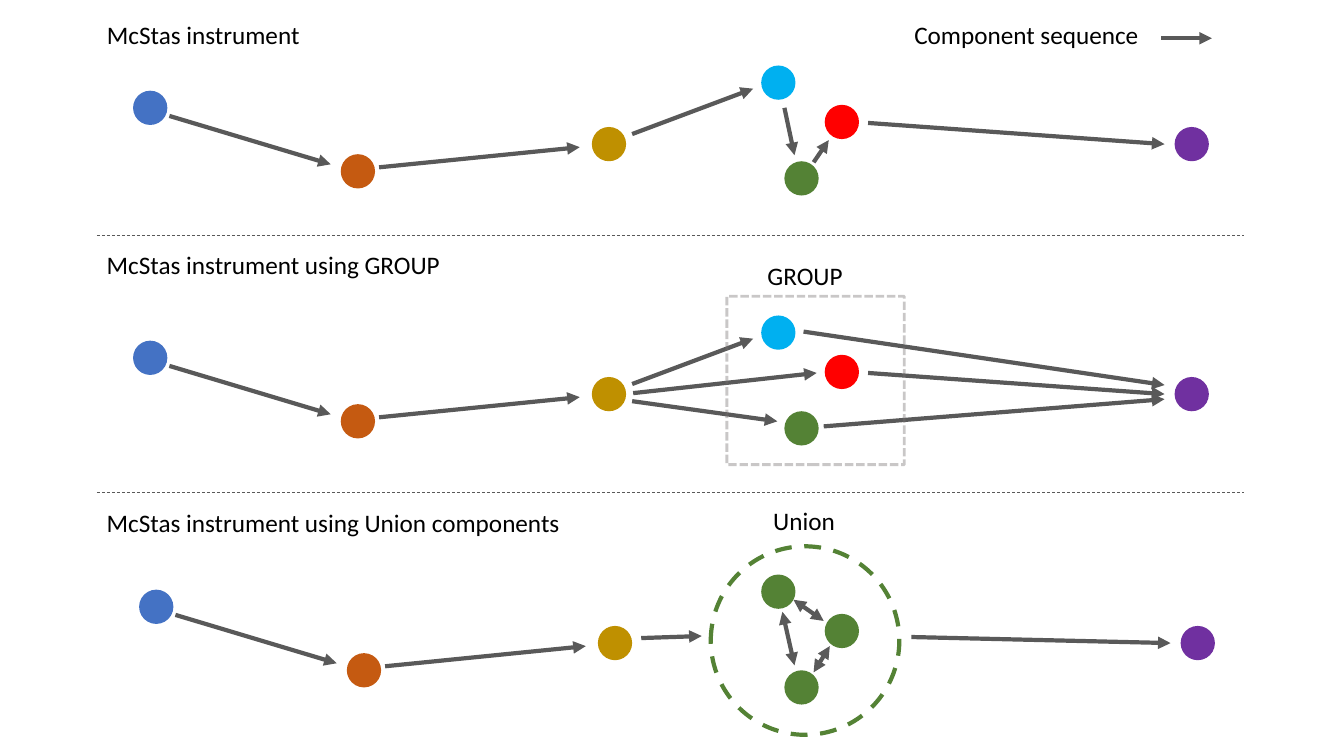
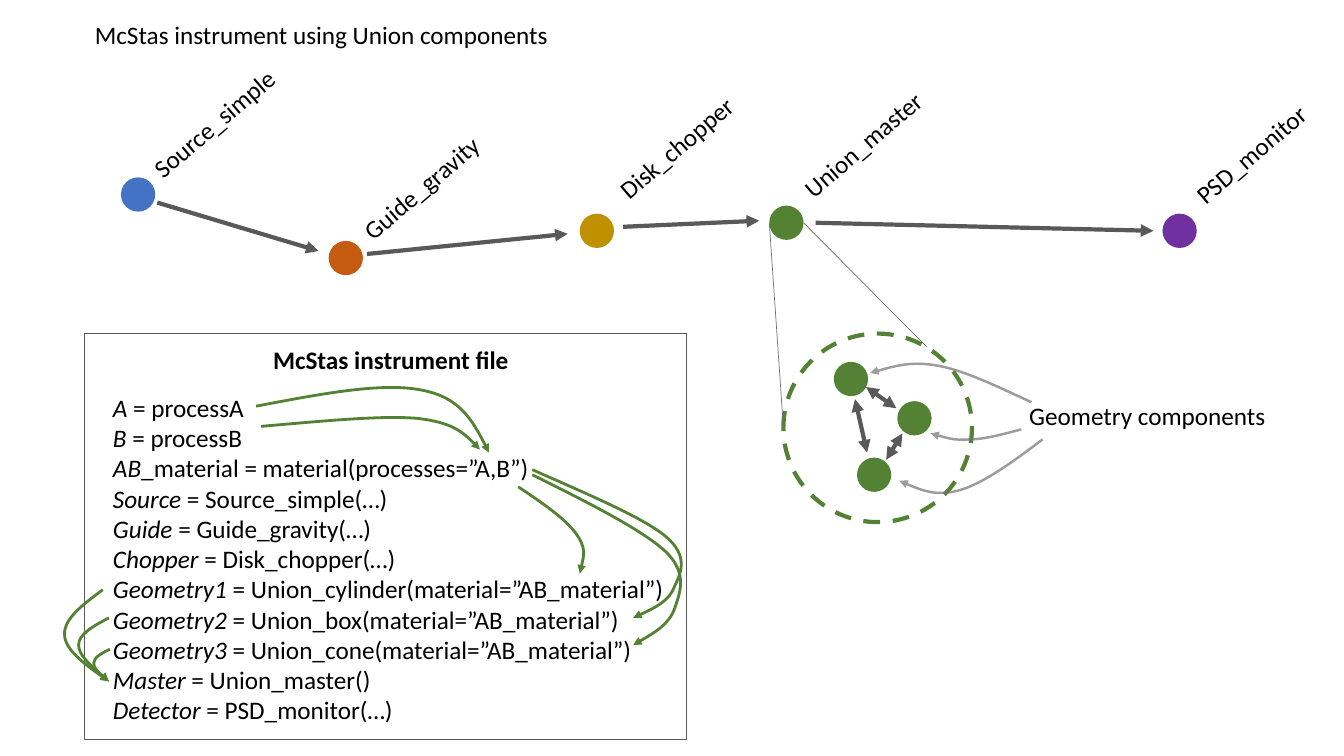
from dataclasses import dataclass

from lxml.etree import SubElement
from pptx import Presentation
from pptx.dml.color import RGBColor
from pptx.enum.dml import MSO_LINE as Dash
from pptx.enum.shapes import MSO_CONNECTOR as Connector, MSO_SHAPE as Shape
from pptx.enum.text import MSO_ANCHOR as Anchor, MSO_AUTO_SIZE as AutoSize, PP_ALIGN as Align
from pptx.oxml.ns import qn
from pptx.util import Inches, Pt


@dataclass(frozen=True)
class Theme:
    font: str = "Calibri"
    size: float = 18
    text: str = "000000"
    paper: str = "FFFFFF"
    arrow: str = "595959"
    gray: str = "767171"
    source: str = "4472C4"
    guide: str = "C55A11"
    chopper: str = "BF9000"
    detector: str = "7030A0"
    union: str = "548235"
    cyan: str = "00B0F0"
    red: str = "FF0000"
    thick: float = 3
    thin: float = 0.5


TITLE_AND_CONTENT, TITLE_ONLY = 1, 5
DOT = 0.34
LABEL_HEIGHT = 0.4
LABEL_ANGLE = 319.4


class Sketch:
    """Holds the deck, its style and the slide being drawn."""

    def __init__(self, theme):
        self.theme = theme
        self.deck = Presentation()
        self.deck.slide_width, self.deck.slide_height = Inches(13.33), Inches(7.5)
        self.page = None

    # Pages and text
    def new_page(self, layout, title, left, width):
        self.page = self.deck.slides.add_slide(self.deck.slide_layouts[layout])
        box = self.page.shapes.title
        self.place(box, left, 0.14, width, LABEL_HEIGHT)
        self.set_text(box, [[(title, "")]])

    def place(self, box, left, top, width, height):
        box.left, box.top = Inches(left), Inches(top)
        box.width, box.height = Inches(width), Inches(height)

    def set_text(self, box, lines, align=Align.LEFT):
        """Each line is a list of (text, style); style may hold b and i."""
        frame = box.text_frame
        frame.word_wrap = True
        frame.auto_size = AutoSize.NONE
        frame.vertical_anchor = Anchor.TOP
        for number, line in enumerate(lines):
            para = frame.add_paragraph() if number else frame.paragraphs[0]
            para.alignment = align
            para.space_before = para.space_after = Pt(0)
            para.line_spacing = 1.0
            for text, style in line:
                span = para.add_run()
                span.text = text
                font = span.font
                font.name, font.size = self.theme.font, Pt(self.theme.size)
                font.bold, font.italic = "b" in style, "i" in style
                font.color.rgb = RGBColor.from_string(self.theme.text)

    def label(self, text, left, top, width, align=Align.LEFT, angle=0, style=""):
        box = self.page.shapes.add_textbox(
            Inches(left), Inches(top), Inches(width), Inches(LABEL_HEIGHT))
        box.rotation = angle
        self.set_text(box, [[(text, style)]], align)

    def listing(self, lines, left, top, width, height):
        box = self.page.placeholders[1]
        self.place(box, left, top, width, height)
        self.set_text(box, lines)
        for para in box.text_frame.paragraphs:
            props = para._p.get_or_add_pPr()
            props.set("marL", "0")
            props.set("indent", "0")
            SubElement(props, qn("a:buNone"))
        return box

    # Lines and outlines
    def stroke(self, shape, color, width, dash=None, alpha=None, heads=()):
        shape.line.color.rgb = RGBColor.from_string(color)
        shape.line.width = Pt(width)
        if dash:
            shape.line.dash_style = dash
        line = shape.element.spPr.find(qn("a:ln"))
        if alpha:
            SubElement(line.find(".//" + qn("a:srgbClr")), qn("a:alpha"), val=str(alpha * 1000))
        for head in heads:
            SubElement(line, qn("a:" + head), type="triangle")

    def line(self, start, end, color, width, dash=None, heads=()):
        link = self.page.shapes.add_connector(
            Connector.STRAIGHT, *(Inches(value) for value in (*start, *end)))
        self.stroke(link, color, width, dash, heads=heads)
        SubElement(link.element.spPr, qn("a:effectLst"))

    def arrow(self, start, end, shift=(0, 0), double=False):
        dx, dy = shift
        heads = ("headEnd", "tailEnd") if double else ("tailEnd",)
        self.line((start[0] + dx, start[1] + dy), (end[0] + dx, end[1] + dy),
                  self.theme.arrow, self.theme.thick, heads=heads)

    def curve(self, points, color, width, alpha=None):
        """Draw a Bezier arrow: a start, then three points per segment."""
        start, *rest = [(Inches(x), Inches(y)) for x, y in points]
        builder = self.page.shapes.build_freeform(*start)
        builder.add_line_segments(rest, close=False)
        shape = builder.convert_to_shape()
        shape.shadow.inherit = False
        shape.fill.background()
        outline = shape.element.find(".//" + qn("a:path"))
        steps = outline.findall(qn("a:lnTo"))
        for number, step in enumerate(steps):
            if number % 3 == 0:
                bezier = SubElement(outline, qn("a:cubicBezTo"))
            bezier.append(step[0])
            outline.remove(step)
        self.stroke(shape, color, width, alpha=alpha, heads=("tailEnd",))

    # Filled and framed shapes
    def shape(self, kind, left, top, width, height, fill=None):
        shape = self.page.shapes.add_shape(
            kind, Inches(left), Inches(top), Inches(width), Inches(height))
        shape.shadow.inherit = False
        if fill:
            shape.fill.solid()
            shape.fill.fore_color.rgb = RGBColor.from_string(fill)
        else:
            shape.fill.background()
        shape.line.fill.background()
        return shape

    def dot(self, left, top, color, shift=(0, 0)):
        self.shape(Shape.OVAL, left + shift[0], top + shift[1], DOT, DOT, color)

    # Parts of an instrument
    def beamline(self, shift):
        theme = self.theme
        for left, top, color in ((1.32, 0.9, theme.source), (3.38, 1.53, theme.guide),
                                 (5.87, 1.26, theme.chopper), (11.65, 1.26, theme.detector)):
            self.dot(left, top, color, shift)
        self.arrow((1.68, 1.15), (3.28, 1.63), shift)
        self.arrow((3.76, 1.66), (5.75, 1.46), shift)

    def sample(self, shift, colors):
        for place, color in zip(((7.55, 0.65), (8.18, 1.04), (7.78, 1.6)), colors):
            self.dot(*place, color, shift)

    def union(self, shift):
        green = self.theme.union
        ring = self.shape(Shape.OVAL, 7.05 + shift[0], 0.37 + shift[1], 1.87, 1.87)
        self.stroke(ring, green, self.theme.thick, Dash.DASH)
        self.sample(shift, [green] * 3)
        for start, end in (((7.76, 1.02), (7.88, 1.55)), ((8.23, 1.36), (8.07, 1.62)),
                           ((7.87, 0.9), (8.17, 1.11))):
            self.arrow(start, end, shift, double=True)


def compare_instruments(sketch):
    theme = sketch.theme
    sketch.new_page(TITLE_ONLY, "McStas instrument", 0.96, 2.82)
    sketch.label("McStas instrument using GROUP", 0.96, 2.42, 4.28)
    sketch.label("McStas instrument using Union components", 0.96, 4.98, 4.97)
    for height in (2.34, 4.88):
        sketch.line((0.96, height), (12.34, height), theme.arrow, theme.thin, Dash.DASH)

    # Legend
    sketch.label("Component sequence", 8.97, 0.14, 2.5)
    sketch.arrow((11.52, 0.38), (12.02, 0.38))

    # What the plain and the grouped instrument share
    plain, grouped = (0, 0), (0, 2.48)
    for shift in (plain, grouped):
        sketch.beamline(shift)
        sketch.sample(shift, (theme.cyan, theme.red, theme.union))
        sketch.arrow((6.27, 1.33), (7.47, 0.88), shift)
        sketch.arrow((8.61, 1.22), (11.55, 1.43), shift)

    # Plain: one component after another
    sketch.arrow((7.78, 1.07), (7.88, 1.54))
    sketch.arrow((8.07, 1.61), (8.22, 1.39))

    # Grouped: parallel ways through the group
    for start, end in (((6.28, 3.9), (8.1, 3.7)), ((6.27, 3.98), (7.71, 4.18)),
                       ((8.17, 4.23), (11.55, 3.96)), ((7.97, 3.29), (11.55, 3.82))):
        sketch.arrow(start, end)
    group = sketch.shape(Shape.RECTANGLE, 7.21, 2.94, 1.76, 1.67)
    sketch.stroke(group, theme.gray, 2, Dash.SQUARE_DOT, alpha=39)
    sketch.label("GROUP", 7.12, 2.53, 1.73, Align.CENTER)

    # Union
    sketch.beamline((0.06, 4.95))
    sketch.union((0, 5.05))
    sketch.arrow((6.36, 6.33), (6.96, 6.31))
    sketch.arrow((9.04, 6.32), (11.61, 6.38))
    sketch.label("Union", 7.11, 4.96, 1.73, Align.CENTER)


FILE_LINES = [
    ("A", " = processA"),
    ("B", " = processB"),
    ("AB", "_material = material(processes=”A,B”)"),
    ("Source ", "= Source_simple(…)"),
    ("Guide", " = Guide_gravity(…)"),
    ("Chopper ", "= Disk_chopper(…)"),
    ("Geometry1 ", "= Union_cylinder(material=”AB_material”)"),
    ("Geometry2 ", "= Union_box(material=”AB_material”)"),
    ("Geometry3", " = Union_cone(material=”AB_material”)"),
    ("Master", " = Union_master()"),
    ("Detector", " = PSD_monitor(…)"),
]
GEOMETRY_POINTERS = [
    [(10.23, 3.99), (9.9, 3.84), (9.58, 3.68), (9.31, 3.63), (9.05, 3.58), (8.84, 3.64), (8.63, 3.7)],
    [(10.34, 4.36), (10.05, 4.58), (9.76, 4.79), (9.53, 4.86), (9.29, 4.93), (9.1, 4.85), (8.92, 4.77)],
    [(10.13, 4.26), (9.94, 4.31), (9.76, 4.36), (9.61, 4.36), (9.46, 4.37), (9.34, 4.33), (9.23, 4.3)],
]
FILE_REFERENCES = [
    # Processes to material
    [(2.54, 4.03), (3.17, 3.91), (3.79, 3.79), (4.18, 3.87), (4.56, 3.94), (4.71, 4.21), (4.85, 4.49)],
    [(2.59, 4.23), (3.18, 4.18), (3.77, 4.12), (4.13, 4.15), (4.49, 4.19), (4.63, 4.32), (4.76, 4.46)],
    # Material to geometries
    [(5.14, 4.83), (5.38, 4.99), (5.61, 5.15), (5.71, 5.29), (5.82, 5.44), (5.78, 5.56), (5.75, 5.69)],
    [(5.28, 4.66), (5.82, 4.9), (6.37, 5.13), (6.6, 5.32), (6.84, 5.52), (6.75, 5.69), (6.69, 5.82),
     (6.64, 5.96), (6.46, 6.05), (6.28, 6.13)],
    [(5.28, 4.71), (5.82, 4.98), (6.36, 5.25), (6.6, 5.47), (6.83, 5.69), (6.74, 5.89), (6.69, 6.04),
     (6.63, 6.2), (6.45, 6.3), (6.28, 6.4)],
    # Geometries to master
    [(1.02, 5.85), (0.82, 6), (0.63, 6.14), (0.64, 6.3), (0.65, 6.45), (0.87, 6.61), (1.08, 6.76)],
    [(1.08, 6.13), (0.93, 6.21), (0.78, 6.29), (0.78, 6.4), (0.78, 6.5), (0.93, 6.63), (1.08, 6.76)],
    [(1.09, 6.44), (1.01, 6.48), (0.93, 6.52), (0.93, 6.58), (0.93, 6.63), (1.01, 6.7), (1.08, 6.76)],
]


def explain_union(sketch):
    theme = sketch.theme
    sketch.new_page(TITLE_AND_CONTENT, "McStas instrument using Union components", 0.84, 4.97)

    # Named components along the beam
    sketch.beamline((-0.12, 0.86))
    sketch.dot(7.63, 2.04, theme.union)
    sketch.arrow((6.18, 2.25), (7.53, 2.19))
    sketch.arrow((8.09, 2.21), (11.44, 2.29))
    for name, left, top, width in (
            ("Source_simple", 0.93, 1.02, 2.38), ("Guide_gravity", 3.31, 1.66, 1.73),
            ("Disk_chopper", 5.84, 1.26, 1.73), ("Union_master", 7.69, 1.23, 1.73),
            ("PSD_monitor", 11.54, 1.33, 1.73)):
        sketch.label(name, left, top, width, Align.CENTER, LABEL_ANGLE)

    # Union master enlarged
    sketch.union((0.72, 2.94))
    sketch.line((7.63, 2.21), (7.77, 4.24), theme.gray, theme.thin)
    sketch.line((7.97, 2.21), (9.19, 3.44), theme.gray, theme.thin)
    sketch.label("Geometry components", 10.11, 3.92, 2.74)
    for points in GEOMETRY_POINTERS:
        sketch.curve(points, theme.gray, 1.75, alpha=69)

    # Instrument file
    panel = sketch.shape(Shape.RECTANGLE, 0.84, 3.31, 5.97, 4.03, theme.paper)
    sketch.stroke(panel, theme.arrow, 1)
    lines = [[(name, "i"), (value, "")] for name, value in FILE_LINES]
    listing = sketch.listing(lines, 1.02, 3.84, 5.73, 3.43)
    panel.element.addnext(listing.element)
    sketch.label("McStas instrument file", 2.61, 3.37, 2.56, style="b")
    for points in FILE_REFERENCES:
        sketch.curve(points, theme.union, 2)


def main():
    sketch = Sketch(Theme())
    compare_instruments(sketch)
    explain_union(sketch)
    sketch.deck.save("out.pptx")


if __name__ == "__main__":
    main()
